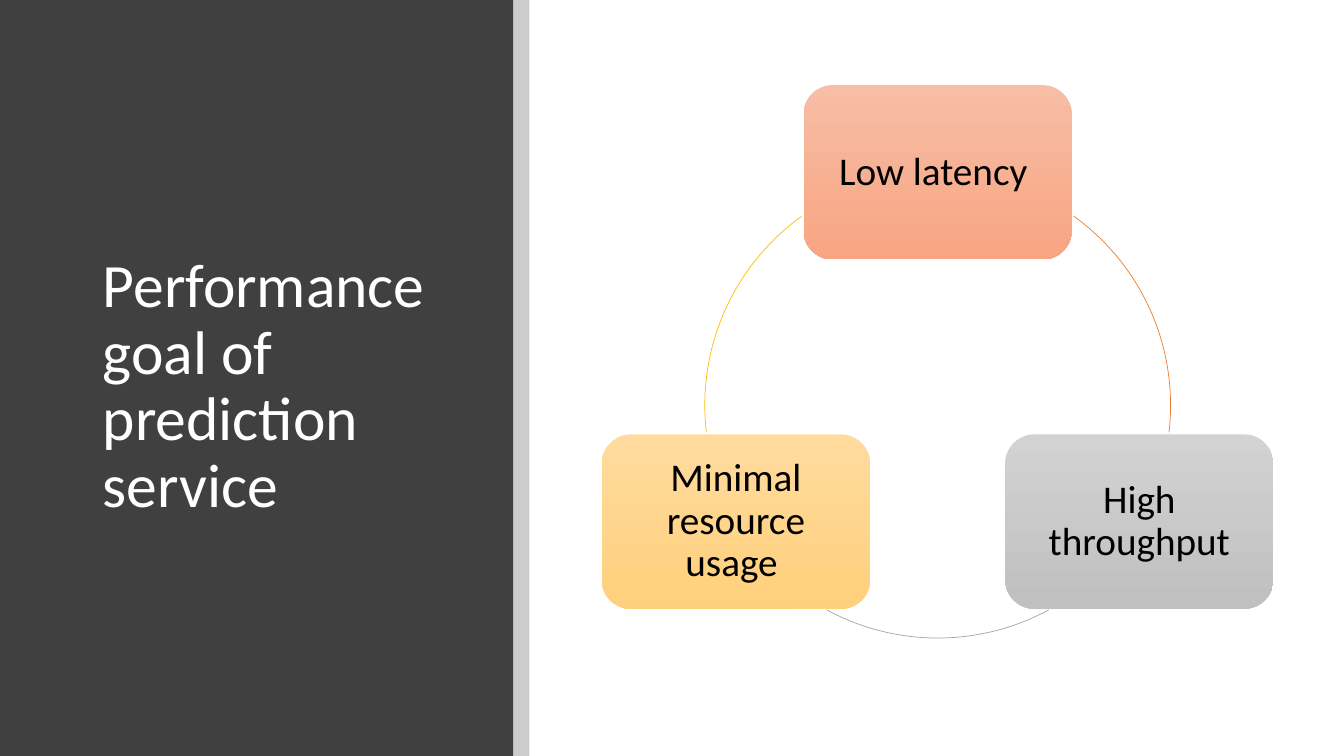
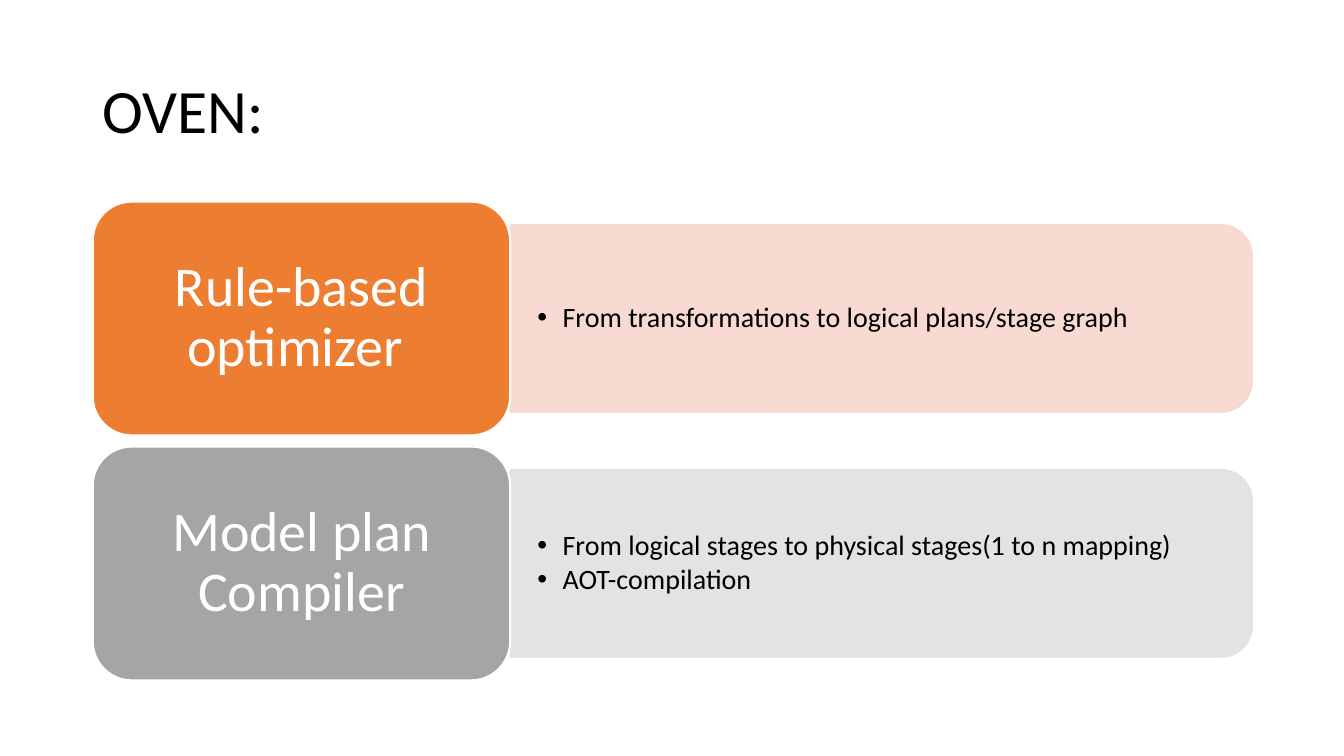
"""Build two slides on the goals of a prediction service and its optimizer."""
import math

import pptx
import pptx.dml.color
import pptx.enum.shapes
import pptx.enum.text
import pptx.oxml
import pptx.oxml.ns
import pptx.util

Inches = pptx.util.Inches
Pt = pptx.util.Pt
RGBColor = pptx.dml.color.RGBColor
Shape = pptx.enum.shapes.MSO_SHAPE
Align = pptx.enum.text.PP_ALIGN

FONT = "Calibri"
BLACK = RGBColor(0x00, 0x00, 0x00)
WHITE = RGBColor(0xFF, 0xFF, 0xFF)
CHARCOAL = RGBColor(0x40, 0x40, 0x40)
ORANGE = RGBColor(0xED, 0x7D, 0x31)
GRAY = RGBColor(0xA5, 0xA5, 0xA5)
GOLD = RGBColor(0xFF, 0xC0, 0x00)
PALE_ORANGE = RGBColor(0xF8, 0xD7, 0xCE)
PALE_GRAY = RGBColor(0xE1, 0xE1, 0xE1)
ORANGE_FADE = (RGBColor(0xF7, 0xBD, 0xA5), RGBColor(0xF8, 0xA5, 0x82))
GRAY_FADE = (RGBColor(0xD2, 0xD2, 0xD2), RGBColor(0xC0, 0xC0, 0xC0))
GOLD_FADE = (RGBColor(0xFF, 0xDB, 0x9E), RGBColor(0xFF, 0xD0, 0x7C))

TITLE_ONLY, TWO_CONTENT = 5, 3
SLIDE_SIZE = (13.33, 7.5)
LEFT = 0.92
BAND_WIDTH = 5.09

CYCLE_CENTER = (9.3, 4.02)
CYCLE_RADIUS = 2.31
GOAL_SIZE = (2.66, 1.73)
GOALS = [
    ("Low latency ", -90, ORANGE_FADE),
    ("High throughput", 30, GRAY_FADE),
    ("Minimal resource usage ", 150, GOLD_FADE),
]
ARCS = [(305.8, 6.7, ORANGE), (61.5, 118.5, GRAY), (173.3, 234.2, GOLD)]

ROW_TOP, ROW_PITCH = 2, 2.43
TILE_SIZE = (4.14, 2.32)
PANEL_SIZE = (7.36, 1.86)
LIST_SIZE = (7.27, 1.68)
STAGES = [
    ("Rule-based optimizer ", ORANGE, PALE_ORANGE,
     ["From transformations to logical plans/stage graph"]),
    ("Model plan Compiler", GRAY, PALE_GRAY,
     ["From logical stages to physical stages(1 to n mapping)",
      "AOT-compilation"]),
]


def set_values(target, values):
    """Set each named attribute of the target."""
    for name, value in values.items():
        setattr(target, name, value)


def place(shape, left, top, width, height):
    """Move and size a shape in inches."""
    set_values(shape, {"left": Inches(left), "top": Inches(top),
                       "width": Inches(width), "height": Inches(height)})


def write(shape, lines, size, color, align=Align.LEFT, insets=(0.1, 0.05), gap=0):
    """Write one paragraph per line, centred vertically in the shape."""
    across, down = (Inches(inset) for inset in insets)
    frame = shape.text_frame
    set_values(frame, {
        "text": "\n".join(lines), "word_wrap": True,
        "auto_size": pptx.enum.text.MSO_AUTO_SIZE.NONE,
        "vertical_anchor": pptx.enum.text.MSO_ANCHOR.MIDDLE,
        "margin_left": across, "margin_right": across,
        "margin_top": down, "margin_bottom": down})
    for paragraph in frame.paragraphs:
        set_values(paragraph, {"alignment": align, "line_spacing": 0.9,
                               "space_before": Pt(0), "space_after": Pt(gap)})
        for run in paragraph.runs:
            set_values(run.font, {"name": FONT, "size": Pt(size)})
            run.font.color.rgb = color


def write_title(slide, text, box, color):
    """Place and write the slide title."""
    place(slide.shapes.title, *box)
    write(slide.shapes.title, [text], 44, color)


def write_list(placeholder, lines, box):
    """Place a body placeholder and write its bullets with a hanging indent."""
    place(placeholder, *box)
    write(placeholder, lines, 20, BLACK, insets=(0.27, 0.14), gap=3)
    indent = Inches(0.25)
    for paragraph in placeholder.text_frame.paragraphs:
        properties = paragraph._p.get_or_add_pPr()
        properties.set("marL", str(indent))
        properties.set("indent", str(-indent))


def set_opacity(shape, percent):
    """Make every solid colour of the shape partly transparent."""
    for color in shape.element.spPr.iter(pptx.oxml.ns.qn("a:srgbClr")):
        alpha = color.makeelement(pptx.oxml.ns.qn("a:alpha"), {"val": str(percent * 1000)})
        color.append(alpha)


def add_shape(slide, kind, box, fill=None, line=None, line_width=1.0):
    """Add a preset shape with a plain fill and line, each optional."""
    shape = slide.shapes.add_shape(kind, *(Inches(length) for length in box))
    shape.shadow.inherit = False
    if fill is None:
        shape.fill.background()
    else:
        shape.fill.solid()
        shape.fill.fore_color.rgb = fill
    if line is None:
        shape.line.fill.background()
    else:
        shape.line.color.rgb = line
        shape.line.width = Pt(line_width)
    return shape


def send_behind_title(slide, shape):
    """Put a shape behind the slide's placeholders."""
    slide.shapes.title.element.addprevious(shape.element)


def add_goal(slide, text, angle, fade):
    """Add a rounded box with a gradient at an angle on the cycle."""
    width, height = GOAL_SIZE
    left = CYCLE_CENTER[0] + CYCLE_RADIUS * math.cos(math.radians(angle)) - width / 2
    top = CYCLE_CENTER[1] + CYCLE_RADIUS * math.sin(math.radians(angle)) - height / 2
    goal = add_shape(slide, Shape.ROUNDED_RECTANGLE, (left, top, width, height))
    goal.fill.gradient()
    goal.fill.gradient_angle = 270
    for stop, color in zip(goal.fill.gradient_stops, fade):
        stop.color.rgb = color
    write(goal, [text], 28, BLACK, Align.CENTER, (0.2, 0.2))


def add_arc(slide, start, end, color):
    """Add a stretch of the cycle between two angles in degrees."""
    left, top = (center - CYCLE_RADIUS for center in CYCLE_CENTER)
    box = (left, top, 2 * CYCLE_RADIUS, 2 * CYCLE_RADIUS)
    arc = add_shape(slide, Shape.ARC, box, line=color, line_width=0.5)
    for index, angle in enumerate((start, end)):
        arc.adjustments[index] = angle * 0.6


def add_stage(slide, placeholder, top, stage):
    """Add a coloured tile with a pale panel and its list."""
    name, color, pale, lines = stage
    middle = top + TILE_SIZE[1] / 2
    right = LEFT + TILE_SIZE[0]
    length, depth = PANEL_SIZE
    panel_box = (right + (length - depth) / 2, middle - length / 2, depth, length)
    panel = add_shape(slide, Shape.ROUND_2_SAME_RECTANGLE, panel_box, pale, pale)
    panel.rotation = 90
    set_opacity(panel, 90)
    send_behind_title(slide, panel)
    write_list(placeholder, lines, (right, middle - LIST_SIZE[1] / 2, *LIST_SIZE))
    tile = add_shape(slide, Shape.ROUNDED_RECTANGLE, (LEFT, top, *TILE_SIZE),
                     color, WHITE, 1.5)
    write(tile, [name], 40, WHITE, Align.CENTER, (0.28, 0.19))


def build_goals(presentation):
    """Build the slide with the cycle of goals."""
    slide = presentation.slides.add_slide(presentation.slide_layouts[TITLE_ONLY])
    write_title(slide, "Performance goal of prediction service",
                (LEFT, 0.89, 3.65, 5.91), WHITE)
    band = add_shape(slide, Shape.RECTANGLE, (0, 0, BAND_WIDTH, SLIDE_SIZE[1]), CHARCOAL)
    edge = add_shape(slide, Shape.RECTANGLE, (BAND_WIDTH, 0, 0.16, SLIDE_SIZE[1]), BLACK)
    set_opacity(edge, 20)
    for shape in (band, edge):
        send_behind_title(slide, shape)
    for goal in GOALS:
        add_goal(slide, *goal)
    for arc in ARCS:
        add_arc(slide, *arc)


def build_stages(presentation):
    """Build the slide with the two optimizer stages."""
    slide = presentation.slides.add_slide(presentation.slide_layouts[TWO_CONTENT])
    write_title(slide, "OVEN:", (LEFT, 0.4, 11.5, 1.45), BLACK)
    for row, stage in enumerate(STAGES):
        add_stage(slide, slide.placeholders[row + 1], ROW_TOP + row * ROW_PITCH, stage)


def main():
    """Build and save the presentation."""
    presentation = pptx.Presentation()
    width, height = (Inches(length) for length in SLIDE_SIZE)
    set_values(presentation, {"slide_width": width, "slide_height": height})
    build_goals(presentation)
    build_stages(presentation)
    presentation.save("out.pptx")


if __name__ == "__main__":
    main()
